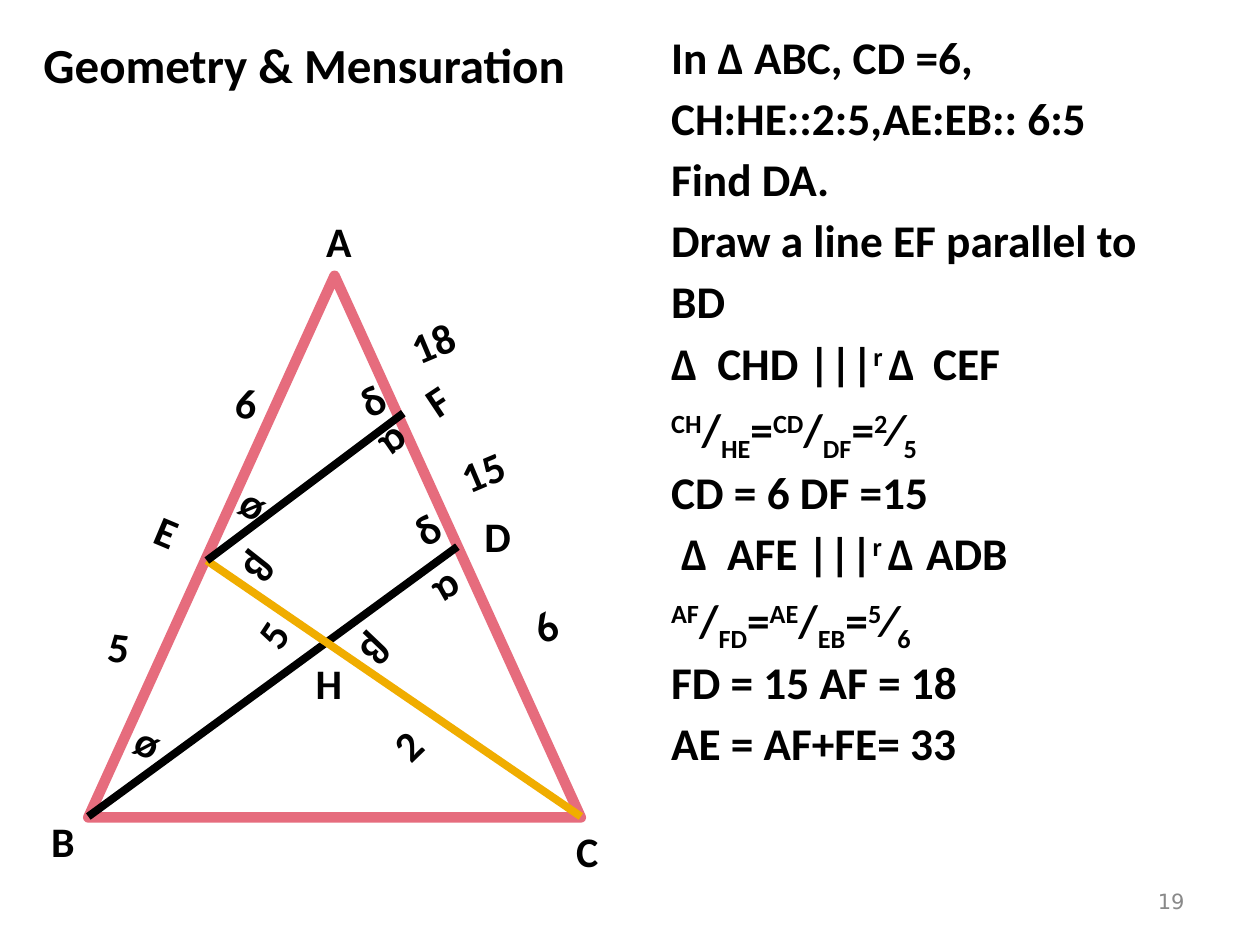
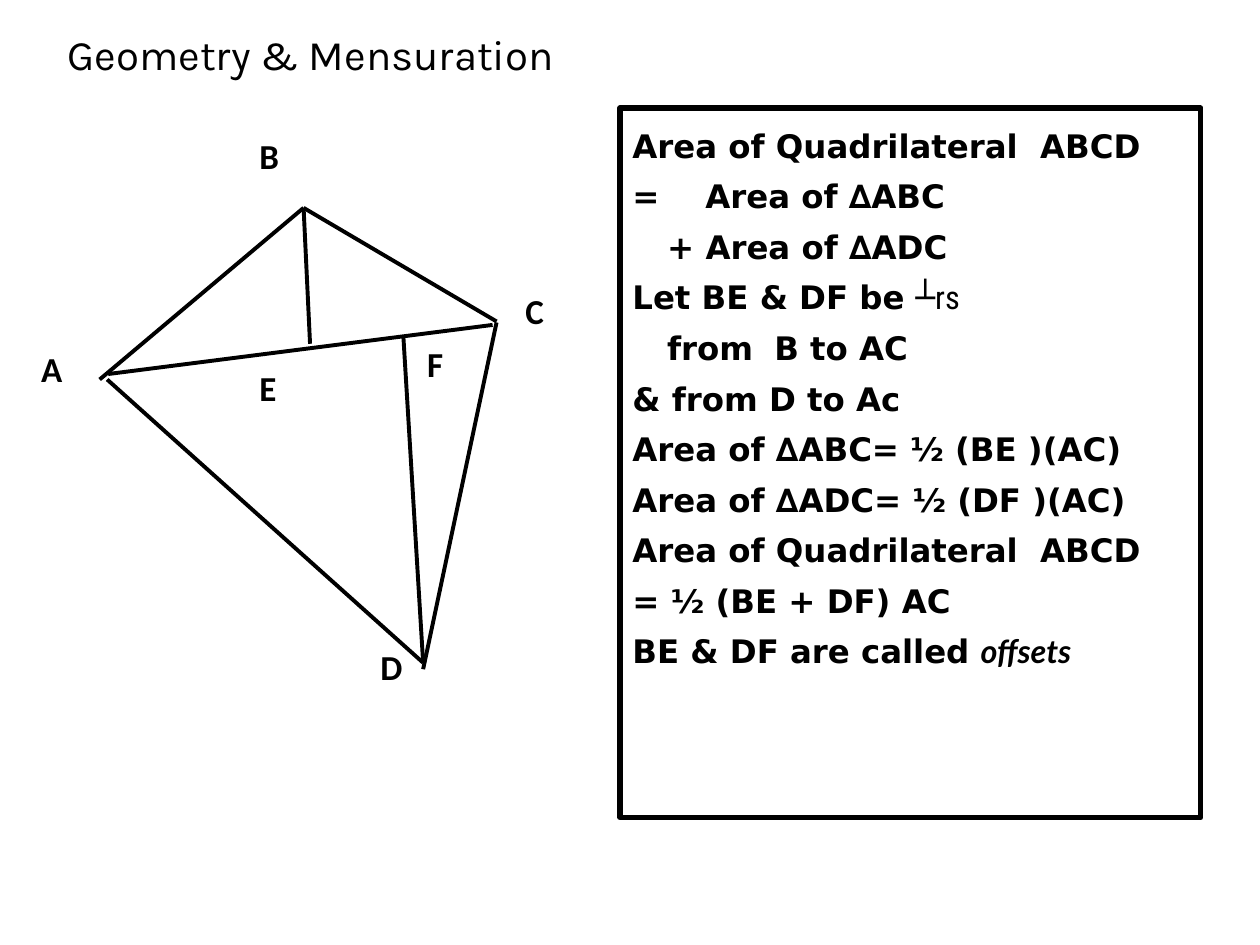
from lxml import etree
from pptx import Presentation
from pptx.dml.color import RGBColor
from pptx.enum.shapes import MSO_CONNECTOR, MSO_SHAPE
from pptx.enum.text import MSO_ANCHOR, PP_ALIGN
from pptx.oxml.ns import qn
from pptx.util import Cm, Pt

STRAIGHT = MSO_CONNECTOR.STRAIGHT
TRIANGLE = MSO_SHAPE.ISOSCELES_TRIANGLE
TOP, MIDDLE = MSO_ANCHOR.TOP, MSO_ANCHOR.MIDDLE
LEFT, CENTER, RIGHT = PP_ALIGN.LEFT, PP_ALIGN.CENTER, PP_ALIGN.RIGHT

TITLE_ONLY = 5
TITLE = "Geometry & Mensuration"
BLACK, WHITE, GRAY = "000000", "FFFFFF", "898989"
PINK, GOLD = "E66C7D", "F0AD00"
SANS, LABEL_FONT = "DejaVu Sans", "Calibri"
SUPER, SUB = {"baseline": 30}, {"baseline": -25}


def color(value):
    return RGBColor.from_string(value)


def set_line(line, value, width):
    line.color.rgb = color(value)
    line.width = Pt(width)


def add_span(para, text, size, font, bold=False, italic=False, baseline=0, ink=BLACK):
    span = para.add_run()
    span.text = text
    span.font.size = Pt(size)
    span.font.name = font
    span.font.bold = bold
    span.font.italic = italic
    span.font.color.rgb = color(ink)
    if baseline:
        span.font._element.set("baseline", str(baseline * 1000))


def set_tabs(para, stops):
    tab_list = etree.SubElement(para._p.get_or_add_pPr(), qn("a:tabLst"))
    for stop in stops:
        etree.SubElement(tab_list, qn("a:tab"), pos=str(Cm(stop)), algn="l")


def add_title(page, place, size, font, bold):
    title = page.shapes.title
    title.left, title.top, title.width, title.height = map(Cm, place)
    frame = title.text_frame
    frame.word_wrap = True
    frame.vertical_anchor = MIDDLE
    frame.paragraphs[0].alignment = CENTER
    add_span(frame.paragraphs[0], TITLE, size, font, bold)


def add_box(page, place, anchor=TOP):
    box = page.shapes.add_textbox(*map(Cm, place))
    box.text_frame.word_wrap = True
    box.text_frame.vertical_anchor = anchor
    return box


def add_label(page, text, place, size, turn=0, align=CENTER, anchor=MIDDLE,
              font=LABEL_FONT, bold=True, ink=BLACK):
    box = add_box(page, place, anchor)
    box.rotation = turn
    para = box.text_frame.paragraphs[0]
    para.alignment = align
    add_span(para, text, size, font, bold, ink=ink)


def add_segment(page, start, end, value, width):
    segment = page.shapes.add_connector(STRAIGHT, *map(Cm, start + end))
    set_line(segment.line, value, width)
    etree.SubElement(segment._element.spPr, qn("a:effectLst"))


def add_working(page, place, rows, size, font, spacing, gap):
    """Each row is a list of (text, style) spans and a list of tab stops."""
    box = add_box(page, place)
    frame = box.text_frame
    for index, (spans, stops) in enumerate(rows):
        para = frame.add_paragraph() if index else frame.paragraphs[0]
        para.line_spacing = spacing
        para.space_before = Pt(gap if index else 0)
        if stops:
            set_tabs(para, stops)
        for text, style in spans:
            add_span(para, text, **{"size": size, "font": font, "bold": True, **style})
    return box


def row(text, *stops):
    return [(text, {})], stops


def similar(first, second, *stops):
    return [(first + " |||", {}), ("r ", SUPER), (second, {})], stops


def fraction(upper, lower, bar="/"):
    return [(upper, SUPER), (bar, {}), (lower, SUB)]


def ratio_row(first, second, value):
    equals = [("=", {})]
    spans = fraction(*first) + equals + fraction(*second) + equals + fraction(*value, "⁄")
    return spans, ()


def build_triangle_page(deck):
    page = deck.slides.add_slide(deck.slide_layouts[TITLE_ONLY])
    add_title(page, (0.58, 0.58, 11.1, 1.42), 28, LABEL_FONT, True)

    # Worked solution
    rows = [
        row("In ∆ ABC, CD =6,"),
        row("CH:HE::2:5,AE:EB:: 6:5"),
        row("Find DA."),
        row("Draw a line EF parallel to"),
        row("BD"),
        similar("∆\tCHD", "∆\tCEF", 0.93, 5.28),
        ratio_row(("CH", "HE"), ("CD", "DF"), ("2", "5")),
        row("CD = 6 DF =15"),
        similar("\t∆\tAFE", "∆\tADB", 0.2, 1.13, 5.14),
        ratio_row(("AF", "FD"), ("AE", "EB"), ("5", "6")),
        row("FD = 15 AF = 18"),
        row("AE = AF+FE= 33"),
    ]
    add_working(page, (13.28, 0.58, 11.3, 16.87), rows, 25.9, LABEL_FONT, 0.9, 7)
    add_label(page, "19", (18.21, 17.65, 5.92, 1.02), 12, align=RIGHT,
              font=SANS, bold=False, ink=GRAY)

    # Triangle ABC with BD, CE and EF
    triangle = page.shapes.add_shape(TRIANGLE, Cm(1.78), Cm(5.56), Cm(9.93), Cm(10.92))
    triangle.shadow.inherit = False
    triangle.fill.solid()
    triangle.fill.fore_color.rgb = color(WHITE)
    set_line(triangle.line, PINK, 6)
    b, c, d, e, f = (1.78, 16.46), (11.71, 16.46), (9.22, 11.02), (4.17, 11.3), (8.13, 8.33)
    for start, end, value in [(d, b, BLACK), (e, c, GOLD), (f, e, BLACK)]:
        add_segment(page, start, end, value, 4.5)

    # Upright point names, all in boxes of one size
    points = [("A", 5.56, 3.58), ("B", 0, 15.67), ("D", 8.76, 9.53),
              ("C", 10.57, 15.88), ("H", 5.36, 12.5)]
    for name, left, top in points:
        add_label(page, name, (left, top, 2.54, 2.54), 24)

    # Turned names, angles and lengths
    turned = [
        ("E", 2.18, 9.32, 2.39, 2.77, 22.9),
        ("F", 7.67, 7.01, 2.29, 2.13, 326.3),
        ("α", 7.06, 8.15, 1.93, 1.7, 140.2),
        ("α", 8.38, 11.33, 1.4, 1.27, 145.1),
        ("β", 6.91, 12.27, 1.4, 1.78, 133.6),
        ("β", 4.57, 10.36, 1.4, 2.24, 128.2),
        ("ø", 2.31, 14.02, 1.4, 1.85, 26.2),
        ("ø", 4.11, 9.58, 2.08, 1.14, 31.3),
        ("δ", 6.81, 7.16, 1.4, 1.78, 331.6),
        ("δ", 7.9, 9.75, 1.4, 1.78, 327.9),
        ("2", 7.52, 14.12, 1.4, 1.78, 315.9),
        ("5", 4.8, 11.89, 1.4, 1.78, 303.6),
        ("6", 10.29, 11.73, 1.4, 1.78, 332.7),
        ("5", 1.7, 12.14, 1.4, 1.78, 7.1),
        ("6", 4.27, 7.21, 1.4, 1.78, 7.1),
        ("15", 8.81, 8.64, 1.85, 1.7, 337.2),
        ("18", 7.8, 6.05, 1.85, 1.7, 337.2),
    ]
    for text, *place, turn in turned:
        add_label(page, text, place, 24, turn)


def build_quadrilateral_page(deck):
    page = deck.slides.add_slide(deck.slide_layouts[TITLE_ONLY])
    add_title(page, (0.41, 0.58, 11.71, 0.99), 24, "Karla", False)

    # Framed derivation
    area = row("Area of Quadrilateral\tABCD", 8.22)
    rows = [
        area,
        row("=\tArea of ∆ABC", 1.47),
        row("\t+ Area of ∆ADC", 0.7),
        ([("Let BE & DF be ", {}),
          ("┴rs", {"font": "Roboto Condensed", "bold": False})], ()),
        row("\tfrom\tB to AC", 0.7, 2.86),
        row("& from D to Ac"),
        row("Area of ∆ABC= ½ (BE )(AC)"),
        row("Area of ∆ADC= ½ (DF )(AC)"),
        area,
        row("= ½ (BE + DF) AC"),
        ([("BE & DF are called ", {}), ("offsets", {"font": "Lato", "italic": True})], ()),
    ]
    frame = add_working(page, (12.5, 2.18, 11.71, 14.3), rows, 18.5, SANS, 1.3, 0)
    set_line(frame.line, BLACK, 3)

    # Sides, diagonal AC and the offsets BE and DF
    b, d = (6.12, 4.19), (8.53, 13.36)
    segments = [
        ((2.18, 7.54), (9.93, 6.55)),
        (b, (2.01, 7.65)),
        ((10.01, 6.48), b),
        (d, (2.16, 7.65)),
        ((8.53, 13.49), (10.01, 6.5)),
        (b, (6.25, 6.93)),
        ((8.13, 6.76), d),
    ]
    for start, end in segments:
        add_segment(page, start, end, BLACK, 2.25)

    points = [("A", 0.58, 6.88, 0.79), ("B", 4.98, 2.59, 1.14), ("C", 10.34, 5.72, 1.37),
              ("D", 7.42, 12.88, 1.14), ("E", 4.98, 7.26, 1.14), ("F", 8.36, 6.78, 0.91)]
    for name, left, top, width in points:
        add_label(page, name, (left, top, width, 1.12), 20, align=LEFT, anchor=TOP)


def main():
    deck = Presentation()
    deck.slide_width, deck.slide_height = Cm(25.4), Cm(19.05)
    build_triangle_page(deck)
    build_quadrilateral_page(deck)
    deck.save("out.pptx")


if __name__ == "__main__":
    main()
